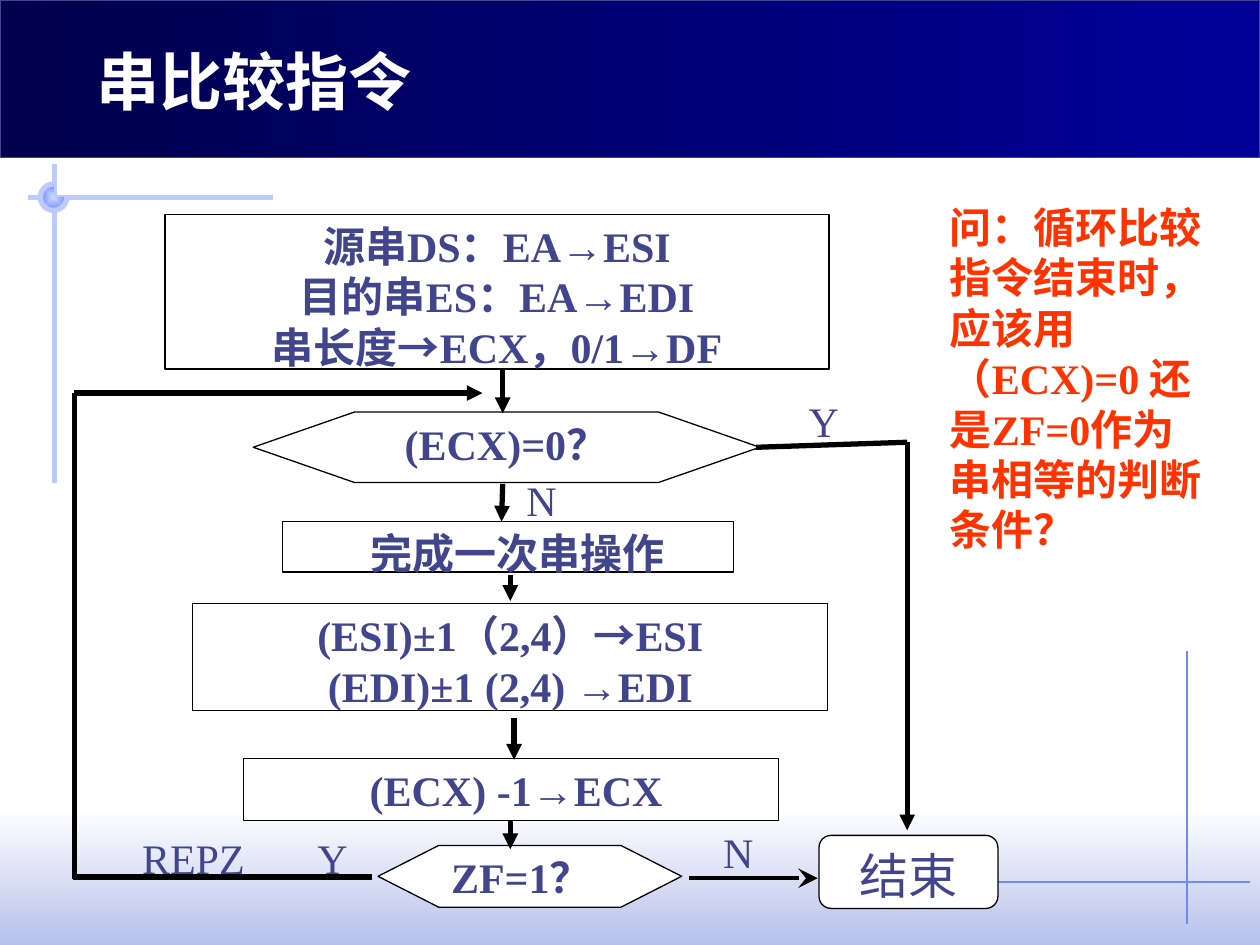
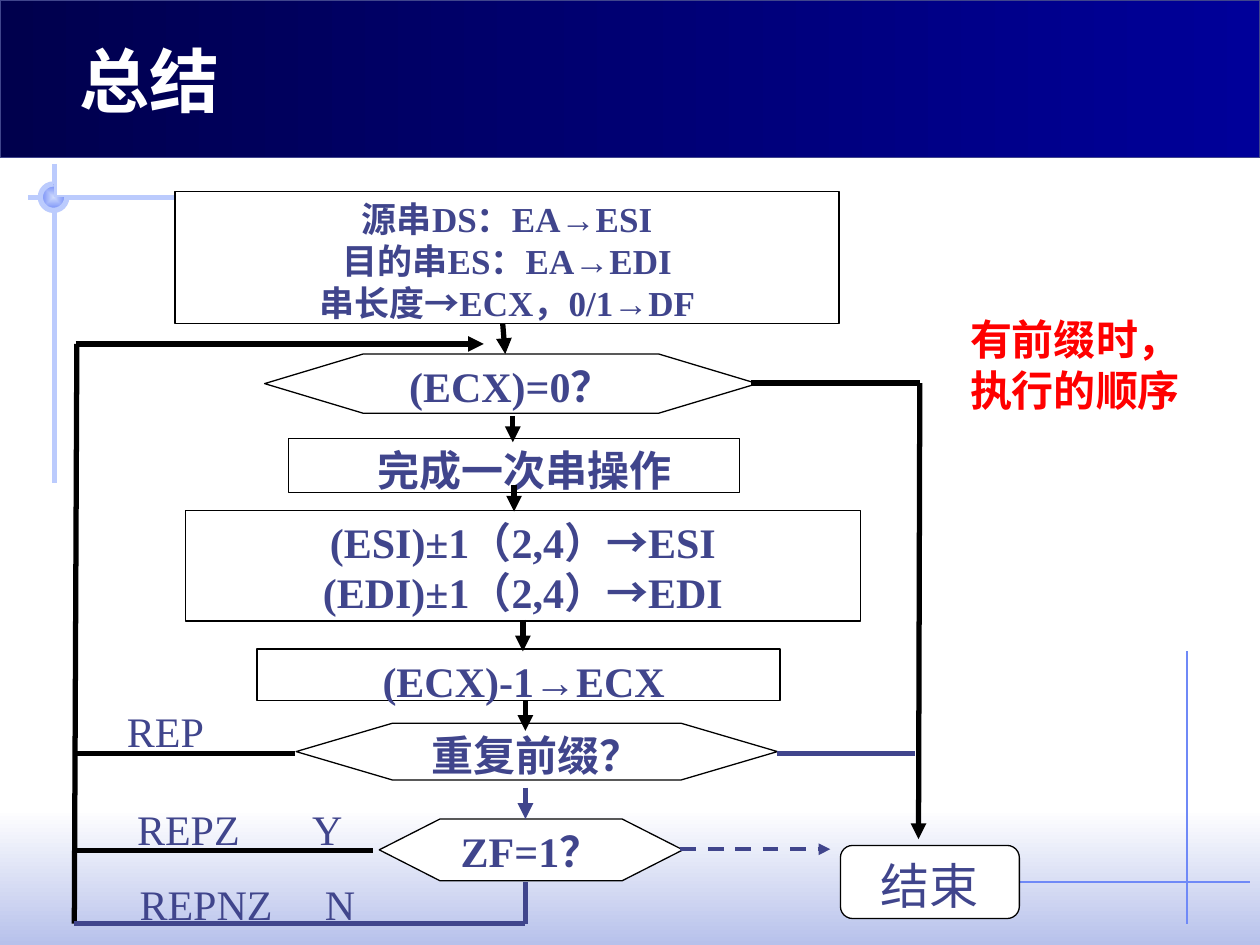
from lxml.etree import SubElement
from pptx import Presentation
from pptx.dml.color import RGBColor
from pptx.enum.dml import MSO_LINE
from pptx.enum.shapes import MSO_CONNECTOR, MSO_SHAPE
from pptx.enum.text import MSO_ANCHOR, PP_ALIGN
from pptx.oxml.ns import qn
from pptx.util import Inches, Pt

BLACK = RGBColor(0x00, 0x00, 0x00)
WHITE = RGBColor(0xFF, 0xFF, 0xFF)
INK = RGBColor(0x40, 0x45, 0x8C)
QUESTION_RED = RGBColor(0xFF, 0x33, 0x00)
NOTE_RED = RGBColor(0xFF, 0x00, 0x00)
NAVY_DARK = RGBColor(0x00, 0x00, 0x4D)
NAVY = RGBColor(0x00, 0x00, 0x99)
MIST = RGBColor(0xB7, 0xC1, 0xEB)
PALE = RGBColor(0xCF, 0xDB, 0xFD)
SKY = RGBColor(0xBB, 0xCB, 0xFD)
AZURE = RGBColor(0x6F, 0x89, 0xF7)

SERIF = "Times New Roman"
SANS_JP = "Noto Sans CJK JP"
SANS_SC = "Noto Sans CJK SC"

RECT = MSO_SHAPE.RECTANGLE
DECISION = MSO_SHAPE.FLOWCHART_PREPARATION
TERMINAL = MSO_SHAPE.FLOWCHART_ALTERNATE_PROCESS


def write(tf, text, size=24, font=SERIF, asian=SANS_SC, color=INK,
          bold=False, align=PP_ALIGN.LEFT):
    for i, line in enumerate(text.split("\n")):
        p = tf.paragraphs[0] if i == 0 else tf.add_paragraph()
        p.alignment = align
        p.line_spacing = Pt(size * 1.2)
        r = p.add_run()
        r.text = line
        r.font.size = Pt(size)
        r.font.bold = bold
        r.font.color.rgb = color
        r.font.name = font
        SubElement(r.font._element, qn("a:ea"), typeface=asian)


class FlowDeck:
    def __init__(self):
        self.prs = Presentation()
        self.prs.slide_width = Inches(10)
        self.prs.slide_height = Inches(7.5)
        self.s = None

    def new_slide(self, title, x, y, size):
        self.s = self.prs.slides.add_slide(self.prs.slide_layouts[6])
        self.backdrop()
        self.label(title, x, y, 4, 0.75, size=size, font=SANS_JP,
                   asian=SANS_JP, color=WHITE, bold=True)

    def shape(self, kind, x, y, w, h, fill=None, line=None, weight=0.75):
        sp = self.s.shapes.add_shape(kind, Inches(x), Inches(y), Inches(w),
                                     Inches(h))
        sp.shadow.inherit = False
        if fill is None:
            sp.fill.background()
        else:
            sp.fill.solid()
            sp.fill.fore_color.rgb = fill
        if line is None:
            sp.line.fill.background()
        else:
            sp.line.color.rgb = line
            sp.line.width = Pt(weight)
        return sp

    def gradient(self, sp, start, end, angle=None):
        sp.fill.gradient()
        for stop, color in zip(sp.fill.gradient_stops, (start, end)):
            stop.color.rgb = color
        if angle is not None:
            sp.fill.gradient_angle = angle
            return
        grad = sp.element.spPr.find(qn("a:gradFill"))
        grad.remove(grad.find(qn("a:lin")))
        radial = SubElement(grad, qn("a:path"))
        radial.set("path", "shape")
        SubElement(radial, qn("a:fillToRect"),
                   {side: "50000" for side in "ltrb"})

    def line(self, x1, y1, x2, y2, color=BLACK, weight=3, head=None,
             head_size="med", dashed=False):
        c = self.s.shapes.add_connector(MSO_CONNECTOR.STRAIGHT, Inches(x1),
                                        Inches(y1), Inches(x2), Inches(y2))
        c.line.color.rgb = color
        c.line.width = Pt(weight)
        if dashed:
            c.line.dash_style = MSO_LINE.DASH
        spPr = c.element.spPr
        if head:
            SubElement(spPr.find(qn("a:ln")), qn("a:tailEnd"), type=head,
                       w=head_size, len=head_size)
        SubElement(spPr, qn("a:effectLst"))

    def arrow(self, x1, y1, x2, y2, head="triangle", **style):
        self.line(x1, y1, x2, y2, head=head, **style)

    def box(self, kind, text, x, y, w, h, shift=0, size=24, bold=True,
            align=PP_ALIGN.CENTER):
        sp = self.shape(kind, x, y, w, h, WHITE, BLACK)
        tf = sp.text_frame
        tf.word_wrap = True
        tf.vertical_anchor = MSO_ANCHOR.TOP
        tf.margin_left = Inches(0.1 + 2 * shift)
        write(tf, text, size=size, bold=bold, align=align)

    def end_box(self, x, y):
        self.box(TERMINAL, "结束", x, y, 1.42, 0.58, size=28, bold=False)

    def label(self, text, x, y, w=1.4, h=0.5, **style):
        tb = self.s.shapes.add_textbox(Inches(x), Inches(y), Inches(w),
                                       Inches(h))
        tb.text_frame.word_wrap = True
        write(tb.text_frame, text, **style)

    def backdrop(self):
        haze = self.shape(RECT, 0, 6.42, 10, 1.08)
        self.gradient(haze, WHITE, MIST, 270)
        self.line(9.42, 5.17, 9.42, 7.33, AZURE, 0.75)
        self.line(2.17, 1.57, 0.22, 1.57, SKY)
        self.line(0.43, 1.3, 0.43, 3.83, SKY)
        knob = (0.32, 1.46, 0.21, 0.21)
        self.gradient(self.shape(MSO_SHAPE.PIE, *knob), PALE, AZURE)
        ring = self.shape(MSO_SHAPE.ARC, *knob, line=SKY, weight=3)
        ring.adjustments[0] = 0
        ring.adjustments[1] = 162
        band = self.shape(RECT, 0, 0, 10, 1.25, line=INK)
        self.gradient(band, NAVY_DARK, NAVY, 0)
        self.line(7.25, 7, 9.92, 7, AZURE, 0.75)


SETUP = "源串DS：EA→ESI\n目的串ES：EA→EDI\n串长度→ECX，0/1→DF"
COUNT_TEST = "(ECX)=0？"
STRING_STEP = "完成一次串操作"
ZERO_TEST = "ZF=1？"


def compare_slide(deck):
    deck.new_slide("串比较指令", 0.67, 0.29, 36)
    deck.box(RECT, SETUP, 1.31, 1.7, 5.27, 1.23)
    deck.box(DECISION, COUNT_TEST, 2.01, 3.27, 4.02, 0.56)
    deck.box(RECT, STRING_STEP, 2.24, 4.14, 3.58, 0.4, shift=0.08)
    deck.box(RECT, "(ESI)±1（2,4）→ESI\n(EDI)±1 (2,4) →EDI",
             1.53, 4.79, 5.04, 0.85)
    deck.box(RECT, "(ECX) -1→ECX", 1.93, 6.02, 4.25, 0.49, shift=0.04)
    deck.box(DECISION, ZERO_TEST, 3, 6.71, 2.41, 0.49, align=PP_ALIGN.LEFT)
    deck.end_box(6.5, 6.63)

    for x1, y1, x2, y2 in [(3.99, 2.94, 3.99, 3.28), (3.99, 3.84, 3.98, 4.14),
                           (4.05, 4.56, 4.05, 4.77), (4.08, 5.7, 4.08, 6.03),
                           (4.05, 6.51, 4.05, 6.74), (7.2, 3.51, 7.2, 6.59),
                           (0.59, 3.12, 3.83, 3.12)]:
        deck.arrow(x1, y1, x2, y2)
    deck.line(6, 3.55, 7.2, 3.51)
    deck.line(0.59, 3.12, 0.59, 6.98)
    deck.line(0.58, 6.96, 2.95, 6.96)
    deck.arrow(5.47, 6.97, 6.49, 6.97, head="stealth", head_size="lg",
               weight=2.25)

    for text, x, y in [("REPZ", 1.03, 6.56), ("Y", 2.42, 6.56),
                       ("N", 5.64, 6.51), ("Y", 6.32, 3.09),
                       ("N", 4.08, 3.72)]:
        deck.label(text, x, y)
    deck.label("问：循环比较指令结束时，应该用（ECX)=0 还是ZF=0作为串相等的判断条件？",
               7.44, 1.55, 2.24, 2.93, color=QUESTION_RED, bold=True)


def summary_slide(deck):
    deck.new_slide("总结", 0.53, 0.25, 40)
    deck.box(RECT, SETUP, 1.39, 1.52, 5.27, 1.05, size=20)
    deck.box(DECISION, COUNT_TEST, 2.1, 2.81, 3.91, 0.47)
    deck.box(RECT, STRING_STEP, 2.29, 3.48, 3.58, 0.43, shift=0.08)
    deck.box(RECT, "(ESI)±1（2,4）→ESI\n(EDI)±1（2,4）→EDI",
             1.47, 4.05, 5.36, 0.88)
    deck.box(RECT, "(ECX)-1→ECX", 2.04, 5.15, 4.15, 0.41, shift=0.04)
    deck.box(DECISION, "重复前缀？", 2.35, 5.74, 3.82, 0.45)
    deck.box(DECISION, ZERO_TEST, 3.01, 6.5, 2.41, 0.49)
    deck.end_box(6.67, 6.71)

    for x1, y1, x2, y2 in [(3.99, 2.57, 4.01, 2.81), (4.07, 3.3, 4.07, 3.51),
                           (4.08, 3.85, 4.08, 4.06), (4.15, 4.92, 4.15, 5.17),
                           (4.17, 5.56, 4.17, 5.8), (7.3, 3.04, 7.29, 6.66),
                           (0.6, 2.73, 3.84, 2.73)]:
        deck.arrow(x1, y1, x2, y2)
    deck.line(5.96, 3.04, 7.3, 3.04)
    deck.line(0.61, 2.73, 0.59, 7.33)
    deck.line(0.59, 5.98, 2.34, 5.98)
    deck.line(0.59, 6.75, 2.96, 6.75)
    deck.line(0.59, 7.33, 4.17, 7.33, INK)
    deck.line(4.17, 7, 4.17, 7.33, INK)
    deck.line(6.17, 5.98, 7.26, 5.98, INK)
    deck.arrow(4.17, 6.25, 4.17, 6.5, color=INK)
    deck.arrow(5.4, 6.74, 6.59, 6.74, color=INK, weight=2.25, dashed=True)

    for text, x, y in [("REP", 0.91, 5.55), ("REPZ", 0.99, 6.33),
                       ("Y", 2.38, 6.33), ("REPNZ", 1.01, 6.92),
                       ("N", 2.48, 6.92)]:
        deck.label(text, x, y)
    deck.label("有前缀时，执行的顺序", 7.6, 2.44, 2.01, 0.91, font=SANS_SC,
               color=NOTE_RED, bold=True)


def main():
    deck = FlowDeck()
    compare_slide(deck)
    summary_slide(deck)
    deck.prs.save("out.pptx")


if __name__ == "__main__":
    main()
